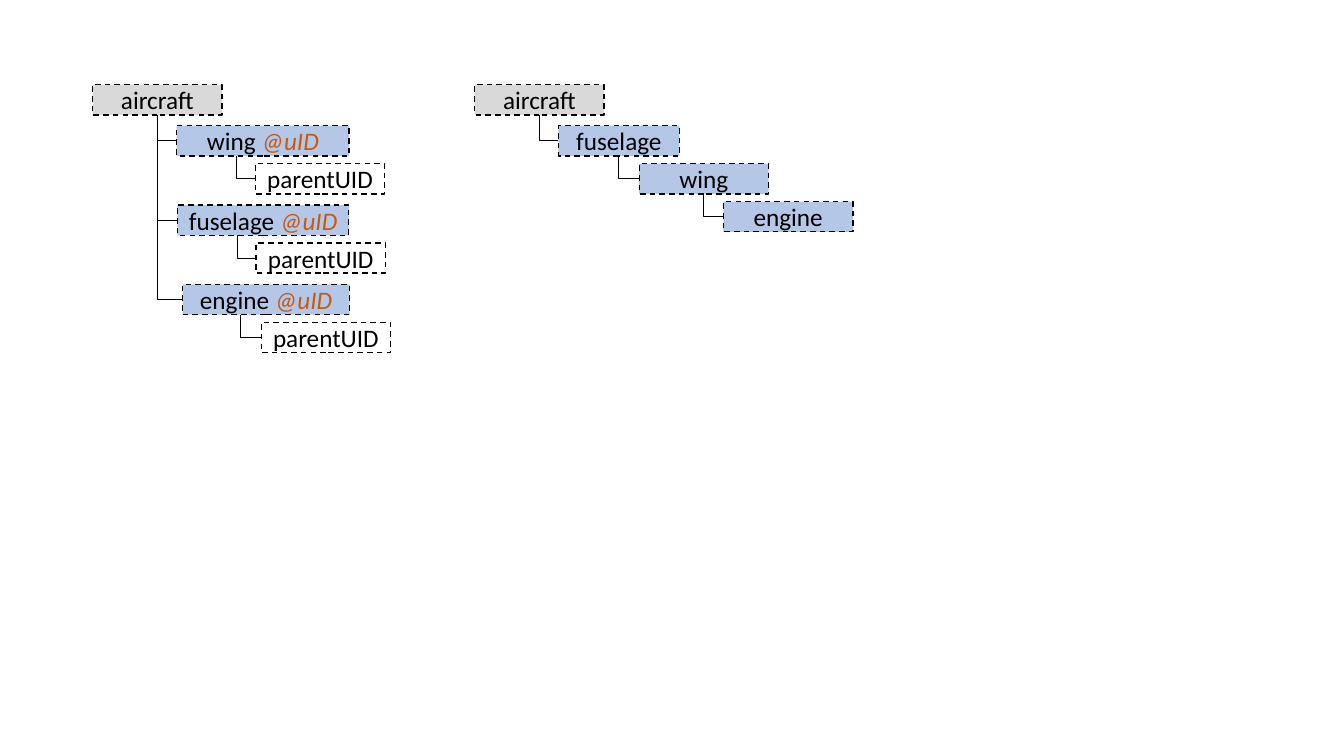
import pptx
import pptx.util
import pptx.dml.color
import pptx.enum.dml
import pptx.enum.shapes
import pptx.enum.text
import lxml.etree

Pt = pptx.util.Pt
GREY, BLUE, BLACK, RUST = "D9D9D9", "B4C7E7", "000000", "C55A11"
WIDE = 92.4


def tint(code):
    return pptx.dml.color.RGBColor.from_string(code)


class Tree:
    font, size, high = "Calibri", 18, 21.6

    def __init__(self, slide):
        self.slide = slide

    def node(self, left, top, width, name, fill=None, mark=None):
        box = self.slide.shapes.add_shape(
            pptx.enum.shapes.MSO_SHAPE.RECTANGLE,
            Pt(left), Pt(top), Pt(width), Pt(self.high))
        box.shadow.inherit = False
        if fill:
            box.fill.solid()
            box.fill.fore_color.rgb = tint(fill)
        else:
            box.fill.background()
        box.line.color.rgb = tint(BLACK)
        box.line.width = Pt(1)
        box.line.dash_style = pptx.enum.dml.MSO_LINE.DASH
        frame = box.text_frame
        frame.margin_left = frame.margin_right = 0
        frame.margin_top = frame.margin_bottom = 0
        frame.vertical_anchor = pptx.enum.text.MSO_ANCHOR.MIDDLE
        frame.text = name
        line = frame.paragraphs[0]
        line.alignment = pptx.enum.text.PP_ALIGN.CENTER
        if mark:
            line.runs[0].text = name + " "
            line.add_run().text = mark
        for run, code in zip(line.runs, (BLACK, RUST)):
            run.font.name = self.font
            run.font.size = Pt(self.size)
            run.font.color.rgb = tint(code)
            run.font.italic = code == RUST
        return box

    def link(self, child, parent, drop=None):
        start = parent.left + (Pt(drop) if drop else parent.width // 2)
        bend = self.slide.shapes.add_connector(
            pptx.enum.shapes.MSO_CONNECTOR.ELBOW,
            child.left, child.top + child.height // 2,
            start, parent.top + parent.height)
        bend.line.color.rgb = tint(BLACK)
        bend.line.width = Pt(0.5)
        shape = bend._element.spPr
        shape.prstGeom.set("prst", "bentConnector2")
        lxml.etree.SubElement(shape, pptx.oxml.ns.qn("a:effectLst"))
        bend.begin_connect(child, 1)
        if not drop:
            bend.end_connect(parent, 2)


deck = pptx.Presentation()
deck.slide_width, deck.slide_height = Pt(960), Pt(540)
tree = Tree(deck.slides.add_slide(deck.slide_layouts[6]))

top, first, step, pitch = 60.5, 89.8, 27.1, 56.7

root = tree.node(66.2, top, WIDE, "aircraft", GREY)
parts = [("wing", 126.2, 123.2, 42.9, 182.4),
         ("fuselage", 126.8, 122.4, 42.6, 182.9),
         ("engine", 130.4, 119.3, 41, 186.6)]
for row, (name, left, width, drop, inner) in enumerate(parts):
    high = first + row * pitch
    part = tree.node(left, high, width, name, BLUE, "@uID")
    leaf = tree.node(inner, high + step, WIDE, "parentUID")
    tree.link(part, root)
    tree.link(leaf, part, drop)

last = tree.node(339.1, top, WIDE, "aircraft", GREY)
chain = [("fuselage", 398.9, 86.4), ("wing", 456.6, WIDE), ("engine", 516.8, WIDE)]
for row, (name, left, width) in enumerate(chain):
    part = tree.node(left, first + row * step, width, name, BLUE)
    tree.link(part, last)
    last = part

deck.save("out.pptx")
